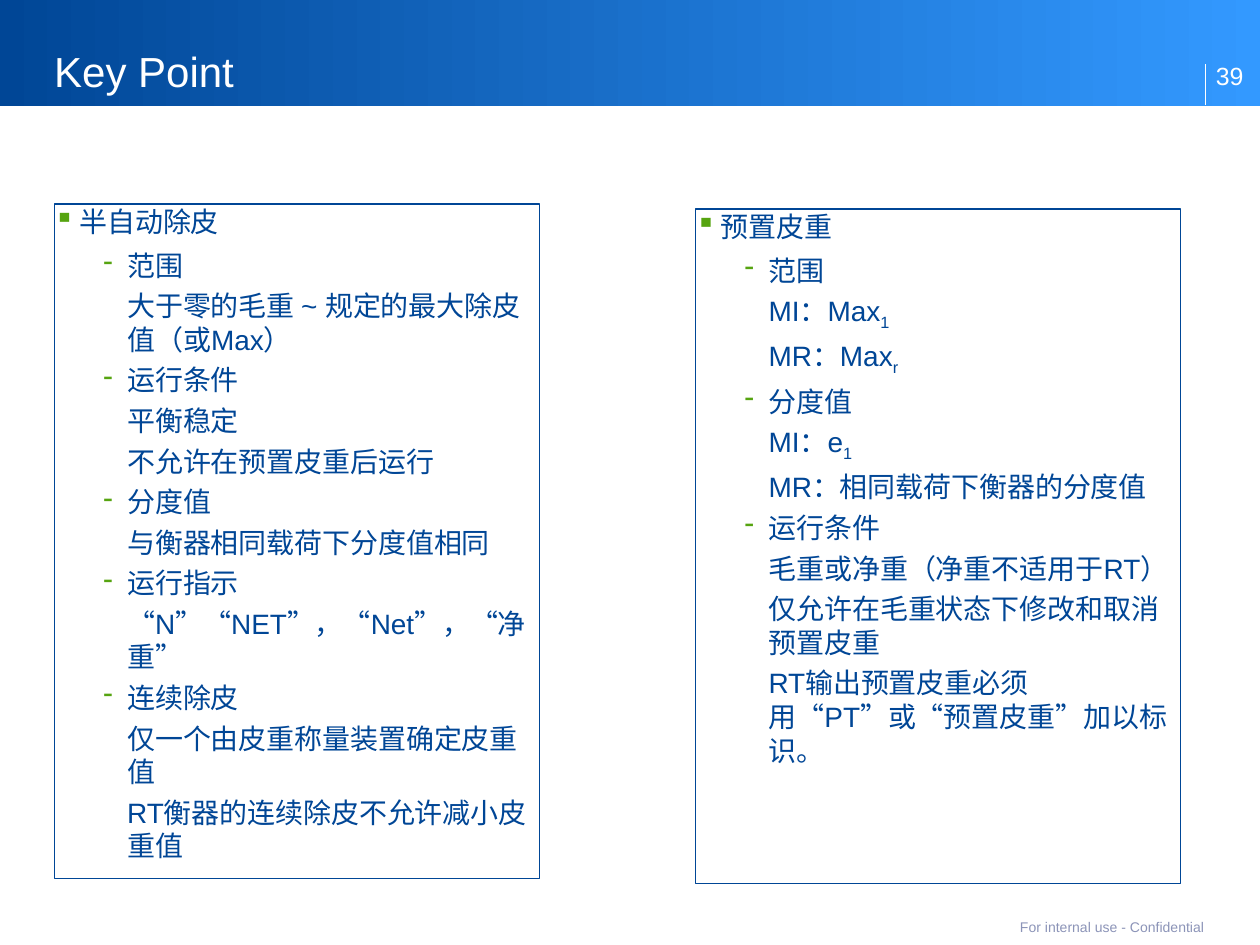
from lxml import etree
from pptx import Presentation
from pptx.dml.color import RGBColor
from pptx.enum.shapes import MSO_CONNECTOR, MSO_SHAPE
from pptx.enum.text import MSO_ANCHOR, PP_ALIGN
from pptx.oxml.ns import qn
from pptx.util import Inches, Pt

RECTANGLE = MSO_SHAPE.RECTANGLE
STRAIGHT = MSO_CONNECTOR.STRAIGHT
TOP, MIDDLE, BOTTOM = MSO_ANCHOR.TOP, MSO_ANCHOR.MIDDLE, MSO_ANCHOR.BOTTOM
LEFT, RIGHT = PP_ALIGN.LEFT, PP_ALIGN.RIGHT

NAVY = RGBColor(0x00, 0x46, 0x96)
SKY = RGBColor(0x33, 0x99, 0xFF)
GREEN = RGBColor(0x56, 0xA4, 0x10)
GREY = RGBColor(0x8C, 0x94, 0xB8)
WHITE = RGBColor(0xFF, 0xFF, 0xFF)
FONT = "Arial"

TITLE = "Key Point"
PAGE_NUMBER = "39"
FOOTER = "For internal use - Confidential"

HEAD, ITEM, DETAIL = "head", "item", "detail"
STYLES = {
    HEAD: {"level": 0, "margin": 0.2, "hanging": 0.2, "after": 6, "bullet": "▪"},
    ITEM: {"level": 1, "margin": 0.58, "hanging": 0.19, "after": 4, "bullet": "-"},
    DETAIL: {"level": 2, "margin": 0.58, "hanging": 0, "after": 4, "bullet": None},
}

PANEL_SIZE = (3.85, 5.35)
PANELS = [
    ((0.43, 1.62), [
        (HEAD, "半自动除皮"),
        (ITEM, "范围"),
        (DETAIL, "大于零的毛重 ~ 规定的最大除皮值（或Max）"),
        (ITEM, "运行条件"),
        (DETAIL, "平衡稳定"),
        (DETAIL, "不允许在预置皮重后运行"),
        (ITEM, "分度值"),
        (DETAIL, "与衡器相同载荷下分度值相同"),
        (ITEM, "运行指示"),
        (DETAIL, "“N”“NET”，“Net”，“净重”"),
        (ITEM, "连续除皮"),
        (DETAIL, "仅一个由皮重称量装置确定皮重值"),
        (DETAIL, "RT衡器的连续除皮不允许减小皮重值"),
    ]),
    ((5.52, 1.66), [
        (HEAD, "预置皮重"),
        (ITEM, "范围"),
        (DETAIL, "MI：Max", "1"),
        (DETAIL, "MR：Max", "r"),
        (ITEM, "分度值"),
        (DETAIL, "MI：e", "1"),
        (DETAIL, "MR：相同载荷下衡器的分度值"),
        (ITEM, "运行条件"),
        (DETAIL, "毛重或净重（净重不适用于RT）"),
        (DETAIL, "仅允许在毛重状态下修改和取消预置皮重"),
        (DETAIL, "RT输出预置皮重必须用“PT”或“预置皮重”加以标识。"),
    ]),
]


def set_frame(frame, anchor, insets):
    frame.word_wrap = True
    frame.vertical_anchor = anchor
    (frame.margin_left, frame.margin_top,
     frame.margin_right, frame.margin_bottom) = map(Inches, insets)


def set_font(para, size, color):
    para.font.name = FONT
    para.font.size = Pt(size)
    para.font.color.rgb = color


def set_label(shape, text, size, color, anchor, insets, align=LEFT):
    set_frame(shape.text_frame, anchor, insets)
    para = shape.text_frame.paragraphs[0]
    para.text = text
    para.alignment = align
    set_font(para, size, color)
    return para


def add_rectangle(page, left, top, width, height):
    shape = page.shapes.add_shape(RECTANGLE, *map(Inches, (left, top, width, height)))
    shape.shadow.inherit = False
    return shape


def add_band(page):
    band = add_rectangle(page, 0, 0, 10, 0.84)
    band.fill.gradient()
    band.fill.gradient_angle = 0
    for stop, color in zip(band.fill.gradient_stops, (NAVY, SKY)):
        stop.color.rgb = color
    band.line.fill.background()
    page.shapes._spTree.insert(2, band._element)


def add_divider(page):
    divider = page.shapes.add_connector(
        STRAIGHT, *map(Inches, (9.57, 0.83, 9.57, 0.51)))
    divider.line.color.rgb = WHITE
    divider.line.width = Pt(0.5)
    etree.SubElement(divider._element.spPr, qn("a:effectLst"))


def set_outline(para, style):
    para.level = style["level"]
    para.alignment = LEFT
    para.space_after = Pt(style["after"])
    properties = para._p.get_or_add_pPr()
    properties.set("marL", str(Inches(style["margin"])))
    properties.set("indent", str(-Inches(style["hanging"])))
    if style["bullet"]:
        color = etree.SubElement(properties, qn("a:buClr"))
        etree.SubElement(color, qn("a:srgbClr"), val=str(GREEN))
        etree.SubElement(properties, qn("a:buChar"), char=style["bullet"])
    else:
        etree.SubElement(properties, qn("a:buNone"))


def add_panel(page, position, lines):
    panel = add_rectangle(page, *position, *PANEL_SIZE)
    panel.fill.solid()
    panel.fill.fore_color.rgb = WHITE
    panel.line.color.rgb = NAVY
    panel.line.width = Pt(0)
    frame = panel.text_frame
    set_frame(frame, TOP, (0, 0, 0, 0))
    for index, (kind, text, *subscripts) in enumerate(lines):
        para = frame.add_paragraph() if index else frame.paragraphs[0]
        set_outline(para, STYLES[kind])
        set_font(para, 16, NAVY)
        para.add_run().text = text
        for subscript in subscripts:
            span = para.add_run()
            span.text = subscript
            span._r.get_or_add_rPr().set("baseline", "-25000")


def main():
    deck = Presentation()
    deck.slide_width, deck.slide_height = Inches(10), Inches(7.5)
    page = deck.slides.add_slide(deck.slide_layouts[5])

    add_band(page)
    add_divider(page)
    title = page.shapes.title
    title.left, title.top, title.width, title.height = map(
        Inches, (0.43, 0.21, 7.56, 0.63))
    para = set_label(title, TITLE, 24, WHITE, BOTTOM, (0, 0, 0, 0.08))
    para.line_spacing = Pt(26)

    for position, lines in PANELS:
        add_panel(page, position, lines)

    number = page.shapes.add_textbox(*map(Inches, (9.57, 0.36, 0.43, 0.47)))
    set_label(number, PAGE_NUMBER, 14.2, WHITE, BOTTOM, (0.08, 0, 0, 0.11))
    footer = page.shapes.add_textbox(*map(Inches, (0.43, 7.27, 9.13, 0.17)))
    set_label(footer, FOOTER, 8, GREY, MIDDLE, (0, 0.05, 0, 0.05), RIGHT)

    deck.save("out.pptx")


if __name__ == "__main__":
    main()
